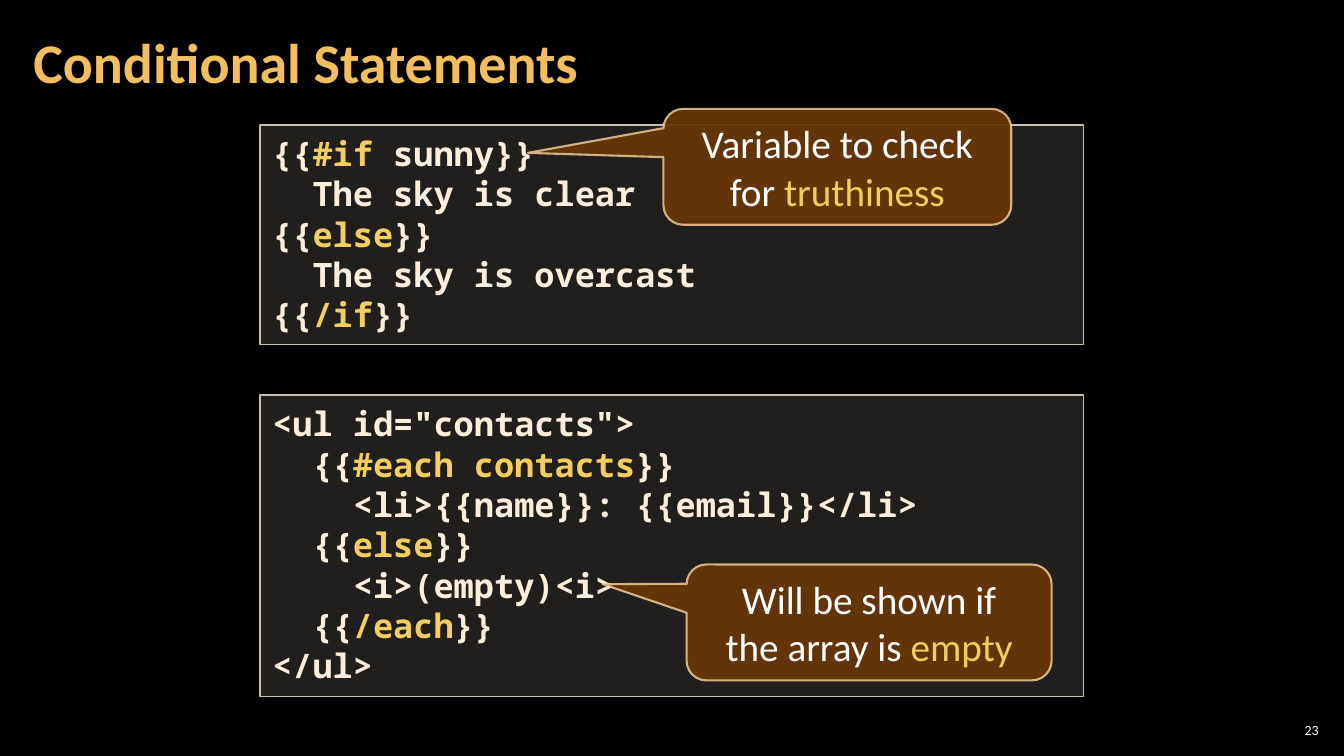
import pptx
import pptx.dml.color
import pptx.enum.shapes
import pptx.enum.text
import pptx.oxml.ns
import pptx.util
from lxml import etree

Inches = pptx.util.Inches
RGBColor = pptx.dml.color.RGBColor
SHAPE = pptx.enum.shapes.MSO_SHAPE
ALIGN = pptx.enum.text.PP_ALIGN
ANCHOR = pptx.enum.text.MSO_ANCHOR

BLACK = RGBColor(0x00, 0x00, 0x00)
WHITE = RGBColor(0xFF, 0xFF, 0xFF)
TITLE_GOLD = RGBColor(0xF3, 0xBE, 0x60)
ACCENT_GOLD = RGBColor(0xF3, 0xCD, 0x60)
CODE_CREAM = RGBColor(0xFB, 0xEE, 0xDC)
CODE_FILL = RGBColor(0xD9, 0xD5, 0xC7)
CODE_BORDER = RGBColor(0xC7, 0xBF, 0xAC)
CALLOUT_FILL = RGBColor(0x66, 0x36, 0x06)
CALLOUT_BORDER = RGBColor(0xF8, 0xD4, 0x9E)

TITLE_FONT = {"name": "Calibri", "size": pptx.util.Pt(40), "bold": True}
NUMBER_FONT = {"name": "Calibri", "size": pptx.util.Pt(10), "bold": False}
CODE_FONT = {"name": "Noto Sans Mono", "size": pptx.util.Pt(24), "bold": True}
CALLOUT_FONT = {"name": "Calibri", "size": pptx.util.Pt(28), "bold": False}


def write_text(shape, lines, font, color, alignment, anchor, margins, wrap=True):
    """Fill a shape with lines; parts between asterisks take the accent colour."""
    frame = shape.text_frame
    frame.word_wrap = wrap
    frame.vertical_anchor = anchor
    frame.margin_left = frame.margin_right = Inches(margins[0])
    frame.margin_top = frame.margin_bottom = Inches(margins[1])
    for index, line in enumerate(lines):
        paragraph = frame.paragraphs[0] if index == 0 else frame.add_paragraph()
        paragraph.alignment = alignment
        for part_index, part in enumerate(line.split("*")):
            if part:
                run = paragraph.add_run()
                run.text = part
                for name, value in font.items():
                    setattr(run.font, name, value)
                run.font.color.rgb = ACCENT_GOLD if part_index % 2 else color


def paint(shape, fill, fill_opacity, border, border_opacity, border_width):
    """Set fill and border, with opacities in percent."""
    shape.shadow.inherit = False
    shape.line.width = pptx.util.Pt(border_width)
    shape.fill.solid()
    shape.line.fill.solid()
    for paint_format, color, opacity in (
        (shape.fill, fill, fill_opacity),
        (shape.line.fill, border, border_opacity),
    ):
        paint_format.fore_color.rgb = color
    for color_element, opacity in zip(
        shape.element.spPr.iter(pptx.oxml.ns.qn("a:srgbClr")),
        (fill_opacity, border_opacity),
    ):
        alpha = etree.SubElement(color_element, pptx.oxml.ns.qn("a:alpha"))
        alpha.set("val", str(opacity * 1000))


presentation = pptx.Presentation()
presentation.slide_width = Inches(13.33)
presentation.slide_height = Inches(7.5)
slide = presentation.slides.add_slide(presentation.slide_layouts[5])
slide.background.fill.solid()
slide.background.fill.fore_color.rgb = BLACK

title = slide.shapes.title
title.left, title.top = Inches(0.21), Inches(0.04)
title.width, title.height = Inches(10.47), Inches(1.21)
write_text(title, ["Conditional Statements"], TITLE_FONT, TITLE_GOLD,
           ALIGN.LEFT, ANCHOR.MIDDLE, (0.12, 0.04))
title.text_frame.paragraphs[0].line_spacing = 0.9

slide_number = slide.shapes.add_textbox(
    Inches(12.65), Inches(7.14), Inches(0.47), Inches(0.21))
write_text(slide_number, ["23"], NUMBER_FONT, WHITE,
           ALIGN.RIGHT, ANCHOR.MIDDLE, (0.04, 0.04))

if_code = [
    "{{*#if *sunny}}",
    "  The sky is clear",
    "{{*else*}}",
    "  The sky is overcast",
    "{{*/if*}}",
]
each_code = [
    '<ul id="contacts">',
    "  {{*#each contacts*}}",
    "    <li>{{name}}: {{email}}</li>",
    "  {{*else*}}",
    "    <i>(empty)<i>",
    "  {{*/each*}}",
    "</ul>",
]
truthiness_note = ["Variable to check", "for *truthiness*"]
empty_note = ["Will be shown if", "the array is *empty*"]

# Code top and height, code, callout left, top and width, callout tip, callout text
examples = [
    (1.24, 2.18, if_code, 6.58, 1.08, 3.45, (-0.89, -0.12), truthiness_note),
    (3.92, 2.99, each_code, 6.81, 5.6, 3.62, (-0.73, -0.33), empty_note),
]
for code_top, code_height, code, left, top, width, tip, note in examples:
    code_box = slide.shapes.add_shape(
        SHAPE.RECTANGLE, Inches(2.58), Inches(code_top), Inches(8.17), Inches(code_height))
    paint(code_box, CODE_FILL, 15, CODE_BORDER, 100, 1)
    write_text(code_box, code, CODE_FONT, CODE_CREAM,
               ALIGN.LEFT, ANCHOR.TOP, (0.12, 0.08))

    callout = slide.shapes.add_shape(
        SHAPE.ROUNDED_RECTANGULAR_CALLOUT, Inches(left), Inches(top), Inches(width), Inches(1.15))
    callout.adjustments[0], callout.adjustments[1] = tip
    callout.adjustments[2] = 0.17
    paint(callout, CALLOUT_FILL, 95, CALLOUT_BORDER, 80, 1.5)
    write_text(callout, note, CALLOUT_FONT, WHITE,
               ALIGN.CENTER, ANCHOR.MIDDLE, (0.31, 0.05), wrap=False)

presentation.save("out.pptx")
